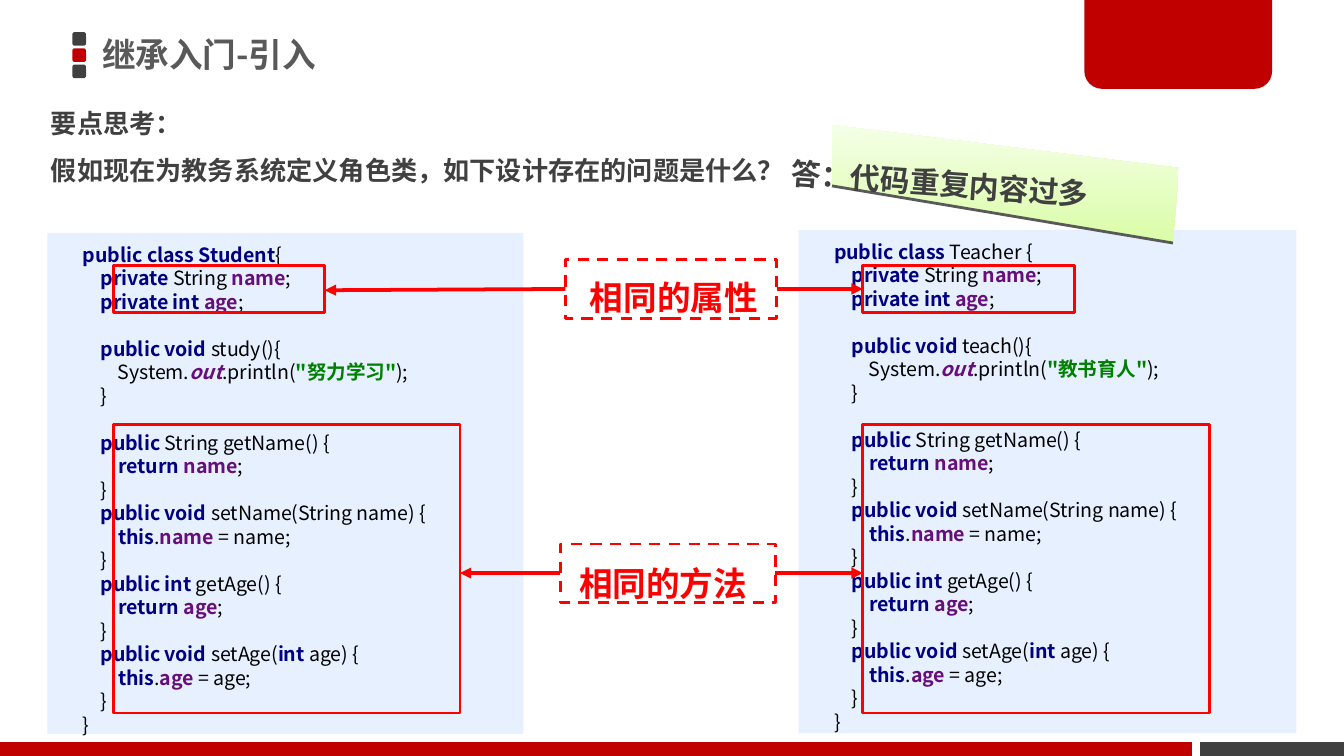
"""Build the slide that motivates inheritance with two classes sharing code."""
from lxml import etree
from pptx import Presentation
from pptx.dml.color import RGBColor
from pptx.enum.dml import MSO_LINE
from pptx.enum.shapes import MSO_CONNECTOR, MSO_SHAPE
from pptx.enum.text import MSO_ANCHOR, PP_ALIGN
from pptx.oxml.ns import qn
from pptx.util import Pt

RECT = MSO_SHAPE.RECTANGLE
ROUNDED = MSO_SHAPE.ROUNDED_RECTANGLE
BOTTOM_ROUNDED = MSO_SHAPE.ROUND_2_SAME_RECTANGLE
STRAIGHT = MSO_CONNECTOR.STRAIGHT
DASH = MSO_LINE.DASH
LEFT = PP_ALIGN.LEFT
MIDDLE = MSO_ANCHOR.MIDDLE
FONT = "Noto Sans CJK SC"
RED, BRAND, DARK, PANEL = "FF0000", "C00000", "404040", "E6F0FF"


def rgb(value):
    """Turn a hex string into a colour."""
    return RGBColor.from_string(value)


def write(paragraph, text, size=10.5, color="000000", bold=False, italic=False, spacing=None):
    """Add one formatted run to a paragraph."""
    run = paragraph.add_run()
    run.text = text
    run.font.size = Pt(size)
    run.font.name = FONT
    run.font.bold = bold
    run.font.italic = italic
    run.font.color.rgb = rgb(color)
    etree.SubElement(run.font._element, qn("a:ea"), typeface=FONT)
    if spacing:
        paragraph.line_spacing = spacing


prs = Presentation()
prs.slide_width, prs.slide_height = Pt(720), Pt(405)
slide = prs.slides.add_slide(prs.slide_layouts[5])
shapes = slide.shapes

title = shapes.title
title.left, title.top, title.width, title.height = Pt(49.7), Pt(13.7), Pt(517.7), Pt(30.2)
title_frame = title.text_frame
title_frame.vertical_anchor = MIDDLE
title_frame.margin_left = title_frame.margin_right = Pt(5)
title_frame.margin_top = title_frame.margin_bottom = Pt(2.9)
title_frame.paragraphs[0].alignment = LEFT
write(title_frame.paragraphs[0], "继承入门-引入", size=18, color="595959", bold=True)

for preset, left, top, width, height, color in [
    (ROUNDED, 38.8, 17.2, 7.3, 7.3, DARK),
    (ROUNDED, 38.8, 25.9, 7.3, 7.3, BRAND),
    (ROUNDED, 38.8, 34.6, 7.3, 7.3, DARK),
    (BOTTOM_ROUNDED, 580.9, 0, 100.6, 47.6, BRAND),
    (RECT, 0, 397.6, 638.6, 7.4, BRAND),
    (RECT, 643, 397.6, 77, 7.4, DARK),
    (RECT, 25.4, 124.8, 255, 268.4, PANEL),
    (RECT, 427.9, 123.2, 266.6, 269.6, PANEL),
]:
    block = shapes.add_shape(preset, Pt(left), Pt(top), Pt(width), Pt(height))
    block.shadow.inherit = False
    block.fill.solid()
    block.fill.fore_color.rgb = rgb(color)
    block.line.fill.background()
    if preset == BOTTOM_ROUNDED:
        block.adjustments[0], block.adjustments[1] = 0, 0.2

SYNTAX = {
    "plain": {},
    "key": {"color": "000080", "bold": True},
    "field": {"color": "660E7A", "bold": True},
    "static": {"color": "660E7A", "bold": True, "italic": True},
    "string": {"color": "008000", "bold": True},
}
SHARED_FIELDS = [
    "key:    private |plain:String |field:name|plain:;",
    "key:    private int |field:age|plain:;",
]
SHARED_METHODS = [
    "key:    public |plain:String getName() {",
    "key:        return |field:name|plain:;",
    "plain:    }",
    "key:    public void |plain:setName(String name) {",
    "key:        this|plain:.|field:name |plain:= name;",
    "plain:    }",
    "key:    public int |plain:getAge() {",
    "key:        return |field:age|plain:;",
    "plain:    }",
    "key:    public void |plain:setAge(|key:int |plain:age) {",
    "key:        this|plain:.|field:age |plain:= age;",
    "plain:    }",
    "plain:}",
]
for left, top, width, height, heading, method, message in [
    (37.3, 126.5, 243, 273, "key:public class Student|plain:{", "study", "努力学习"),
    (439.7, 124.8, 254, 274, "key:public class |plain:Teacher {", "teach", "教书育人"),
]:
    own_method = [
        f"key:    public void |plain:{method}(){{",
        f'plain:        System.|static:out|plain:.println(|string:"{message}"|plain:);',
        "plain:    }",
    ]
    code_lines = [heading] + SHARED_FIELDS + own_method + SHARED_METHODS
    listing = shapes.add_textbox(Pt(left), Pt(top), Pt(width), Pt(height)).text_frame
    listing.word_wrap = True
    for number, code_line in enumerate(code_lines):
        paragraph = listing.add_paragraph() if number else listing.paragraphs[0]
        if code_line in (own_method[0], SHARED_METHODS[0]):
            paragraph.space_before = Pt(12.6)
        for piece in code_line.split("|"):
            kind, _, code = piece.partition(":")
            write(paragraph, code, **SYNTAX[kind])

for left, top, width, height, dash in [
    (60.6, 142.3, 113.4, 25.2, None),
    (60.6, 227.4, 185.8, 154.6, None),
    (462.2, 142.3, 113.4, 25.2, None),
    (462.2, 227.4, 185.8, 154.6, None),
    (302.9, 139, 113.3, 31.5, DASH),
    (300.2, 291.4, 115.2, 31.5, DASH),
]:
    frame = shapes.add_shape(RECT, Pt(left), Pt(top), Pt(width), Pt(height))
    frame.shadow.inherit = False
    frame.fill.background()
    frame.line.color.rgb = rgb(RED)
    frame.line.width = Pt(1.5)
    if dash:
        frame.line.dash_style = dash

for start_x, start_y, end_x, end_y in [
    (302.9, 154.8, 174, 155.5),
    (416.2, 154.8, 462.2, 154.8),
    (300.2, 307, 246.4, 307),
    (415.4, 307, 462.2, 307),
]:
    arrow = shapes.add_connector(STRAIGHT, Pt(start_x), Pt(start_y), Pt(end_x), Pt(end_y))
    arrow.line.color.rgb = rgb(RED)
    arrow.line.width = Pt(2)
    etree.SubElement(arrow.line._get_or_add_ln(), qn("a:tailEnd"), type="triangle")
    etree.SubElement(arrow._element.spPr, qn("a:effectLst"))

outline = shapes.build_freeform(Pt(445.7), Pt(67), scale=1.0)
outline.add_line_segments([(Pt(631.6), Pt(90)), (Pt(628.4), Pt(130.2)), (Pt(445.7), Pt(99.6))])
answer_card = outline.convert_to_shape()
answer_card.shadow.inherit = False
answer_card.fill.gradient()
answer_card.fill.gradient_angle = 90
for stop, color in zip(answer_card.fill.gradient_stops, ["DAFDA7", "F5FFE7"]):
    stop.color.rgb = rgb(color)
answer_card.line.fill.background()
card_edge = shapes.add_connector(STRAIGHT, Pt(445.7), Pt(99.6), Pt(628.4), Pt(130.2))
card_edge.line.color.rgb = rgb("595959")
card_edge.line.width = Pt(1.5)
etree.SubElement(card_edge._element.spPr, qn("a:effectLst"))

for left, top, width, height, size, color, angle, lines in [
    (308.9, 133.9, 107.3, 40.3, 18, RED, 0, ["相同的属性"]),
    (303.1, 287.3, 107.3, 40.3, 18, RED, 0, ["相同的方法"]),
    (20.2, 45.4, 408.2, 58.3, 14, DARK, 0,
     ["要点思考：", "假如现在为教务系统定义角色类，如下设计存在的问题是什么？"]),
    (416.9, 77, 221, 36, 16, DARK, 4, ["答：代码重复内容过多"]),
]:
    label = shapes.add_textbox(Pt(left), Pt(top), Pt(width), Pt(height))
    label.rotation = angle
    label.text_frame.word_wrap = True
    for number, line in enumerate(lines):
        paragraph = label.text_frame.add_paragraph() if number else label.text_frame.paragraphs[0]
        write(paragraph, line, size=size, color=color, bold=True, spacing=1.5)

prs.save("out.pptx")
